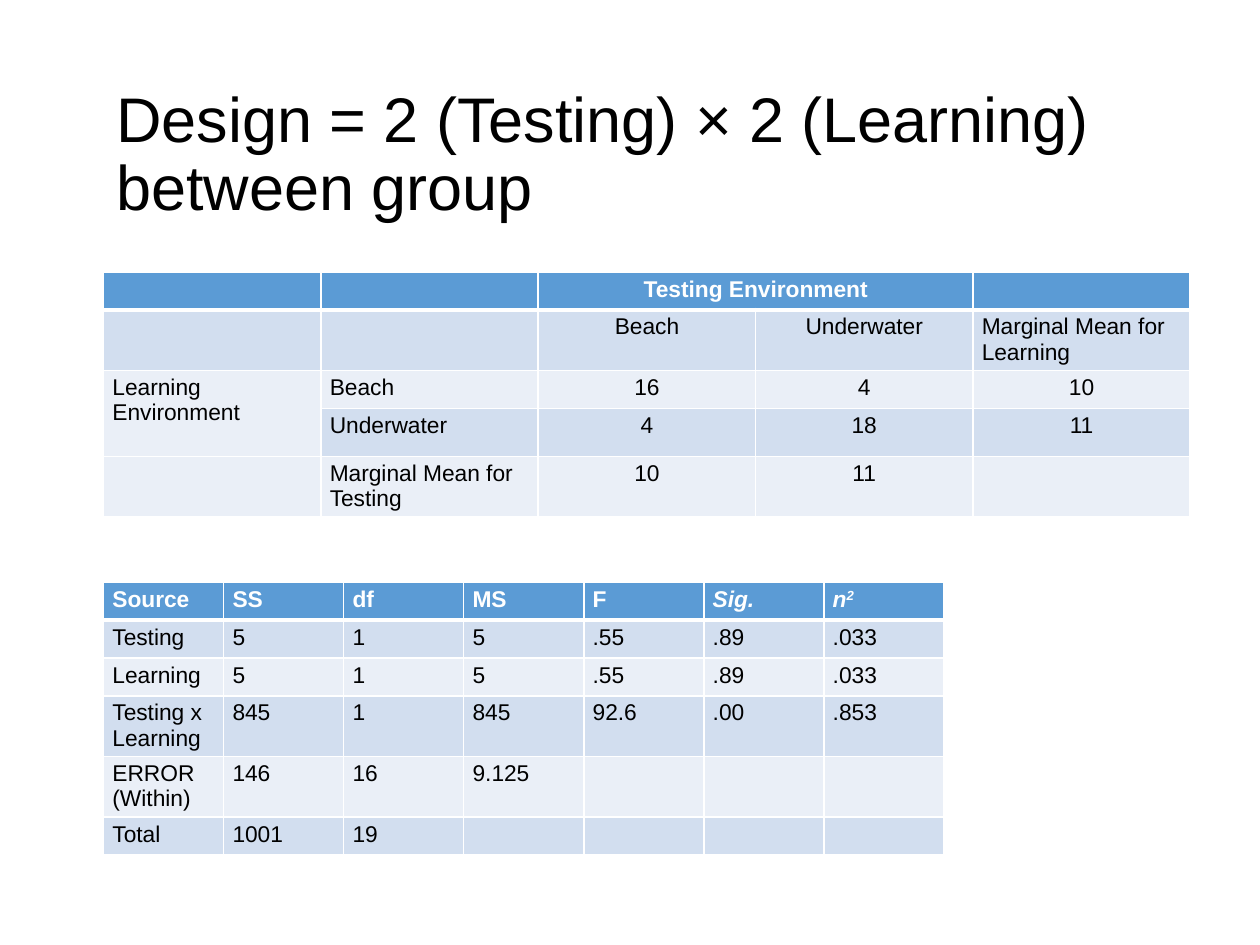
from lxml.etree import SubElement
from pptx import Presentation
from pptx.dml.color import RGBColor
from pptx.enum.text import MSO_ANCHOR as ANCHOR, MSO_AUTO_SIZE as AUTO, PP_ALIGN as ALIGN
from pptx.oxml.ns import qn
from pptx.util import Pt

WHITE = RGBColor(0xFF, 0xFF, 0xFF)
BLACK = RGBColor(0, 0, 0)
HEADER = RGBColor(0x5B, 0x9B, 0xD5)
BANDS = [RGBColor(0xD2, 0xDE, 0xEF), RGBColor(0xEA, 0xEF, 0xF7)]

TITLE = "Design = 2 (Testing) × 2 (Learning) between group"
LEFT = 59.2
ONE_LINE, TWO_LINES = 21.7, 34.6

TABLES = [
    {
        "top": 155.4,
        "col_width": 124.2,
        "heights": [ONE_LINE, TWO_LINES, ONE_LINE, 27.4, TWO_LINES],
        "rows": [
            ["", "", "Testing Environment", "", ""],
            ["", "", "Beach", "Underwater", "Marginal Mean for Learning"],
            ["Learning\nEnvironment", "Beach", "16", "4", "10"],
            ["", "Underwater", "4", "18", "11"],
            ["", "Marginal Mean for Testing", "10", "11", ""],
        ],
        "merges": [((0, 2), (0, 3)), ((2, 0), (3, 0))],
        "centre_from": 2,
        "left_cells": [(1, 4)],
        "italic_cells": [],
        "superscripts": {},
    },
    {
        "top": 332.6,
        "col_width": 68.6,
        "heights": [ONE_LINE] * 3 + [TWO_LINES] * 2 + [ONE_LINE],
        "rows": [
            ["Source", "SS", "df", "MS", "F", "Sig.", "n"],
            ["Testing", "5", "1", "5", ".55", ".89", ".033"],
            ["Learning", "5", "1", "5", ".55", ".89", ".033"],
            ["Testing x Learning", "845", "1", "845", "92.6", ".00", ".853"],
            ["ERROR (Within)", "146", "16", "9.125", "", "", ""],
            ["Total", "1001", "19", "", "", "", ""],
        ],
        "merges": [],
        "centre_from": 7,
        "left_cells": [],
        "italic_cells": [(0, 5), (0, 6)],
        "superscripts": {(0, 6): "2"},
    },
]


def apply(obj, formats):
    for name, value in formats.items():
        setattr(obj, name, value)


def add_run(p, text, color, **formats):
    r = p.add_run()
    r.text = text
    apply(r.font, {"name": "Arial", **formats})
    r.font.color.rgb = color
    return r


def add_borders(cell, row):
    widths = {"L": 1, "R": 1, "T": 3 if row == 1 else 1, "B": 3 if row == 0 else 1}
    tcPr = cell._tc.get_or_add_tcPr()
    for side, width in widths.items():
        ln = SubElement(tcPr, qn(f"a:ln{side}"), w=str(Pt(width)))
        fill = SubElement(ln, qn("a:solidFill"))
        SubElement(fill, qn("a:srgbClr"), val=str(WHITE))


def fill_cell(cell, row, col, text, data):
    add_borders(cell, row)
    cell.fill.solid()
    cell.fill.fore_color.rgb = BANDS[(row - 1) % 2] if row else HEADER
    apply(cell, {"margin_left": Pt(5.1), "margin_right": Pt(5.1),
                 "margin_top": Pt(2.6), "margin_bottom": Pt(2.6)})
    centred = col >= data["centre_from"] and (row, col) not in data["left_cells"]
    color = BLACK if row else WHITE
    formats = {"size": Pt(13), "bold": row == 0,
               "italic": (row, col) in data["italic_cells"]}
    tf = cell.text_frame
    for i, line in enumerate(text.split("\n")):
        p = tf.add_paragraph() if i else tf.paragraphs[0]
        p.alignment = ALIGN.CENTER if centred else ALIGN.LEFT
        if line:
            add_run(p, line, color, **formats)
        else:
            SubElement(p._p, qn("a:endParaRPr"), sz="1300")
    if (row, col) in data["superscripts"]:
        r = add_run(p, data["superscripts"][row, col], color, **formats)
        r.font._element.set("baseline", "30000")


def add_data_table(slide, data):
    rows, heights = data["rows"], data["heights"]
    n_cols = len(rows[0])
    table = slide.shapes.add_table(
        len(rows), n_cols, Pt(LEFT), Pt(data["top"]),
        Pt(n_cols * data["col_width"]), Pt(sum(heights))).table
    for column in table.columns:
        column.width = Pt(data["col_width"])
    for i, (values, height) in enumerate(zip(rows, heights)):
        table.rows[i].height = Pt(height)
        for j, text in enumerate(values):
            fill_cell(table.cell(i, j), i, j, text, data)
    for start, end in data["merges"]:
        table.cell(*start).merge(table.cell(*end))


def main():
    prs = Presentation()
    apply(prs, {"slide_width": Pt(720), "slide_height": Pt(540)})
    slide = prs.slides.add_slide(prs.slide_layouts[5])
    title = slide.shapes.title
    apply(title, {"left": Pt(LEFT), "top": Pt(54), "width": Pt(621), "height": Pt(70.5)})
    tf = title.text_frame
    apply(tf, {"word_wrap": True, "auto_size": AUTO.NONE, "vertical_anchor": ANCHOR.MIDDLE})
    p = tf.paragraphs[0]
    apply(p, {"alignment": ALIGN.LEFT, "line_spacing": 0.9})
    add_run(p, TITLE, BLACK, size=Pt(36))
    for data in TABLES:
        add_data_table(slide, data)
    prs.save("out.pptx")


if __name__ == "__main__":
    main()
